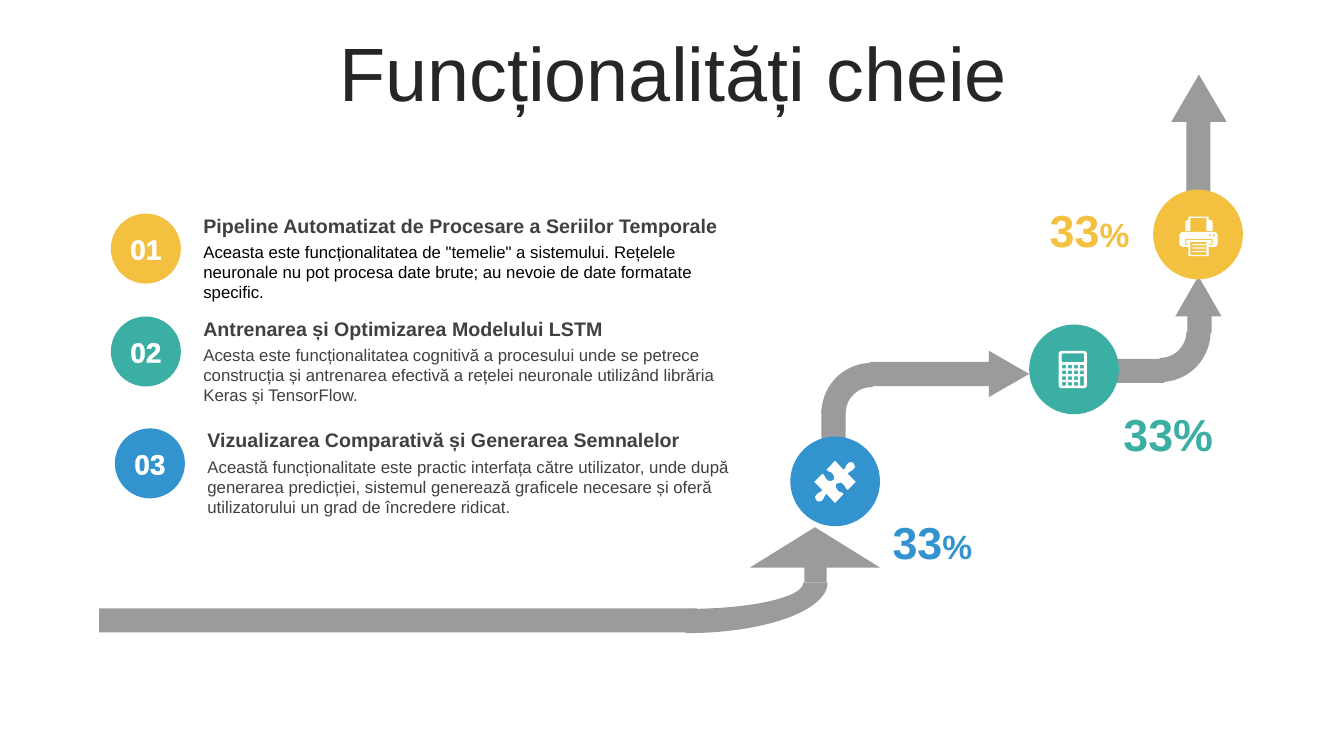
"""Build a slide of three key features beside a rising path of arrows."""
import math

import pptx
import pptx.util
from pptx.dml.color import RGBColor
from pptx.enum.shapes import MSO_SHAPE
from pptx.enum.text import MSO_ANCHOR, MSO_AUTO_SIZE, PP_ALIGN
from pptx.oxml import parse_xml
from pptx.oxml.ns import nsdecls

YELLOW = RGBColor(0xF3, 0xC0, 0x40)
TEAL = RGBColor(0x3C, 0xAF, 0xA4)
BLUE = RGBColor(0x32, 0x93, 0xCF)
GREY = RGBColor(0x9B, 0x9B, 0x9B)
WHITE = RGBColor(0xFF, 0xFF, 0xFF)
BLACK = RGBColor(0x00, 0x00, 0x00)
TITLE_GREY = RGBColor(0x26, 0x26, 0x26)
TEXT_GREY = RGBColor(0x40, 0x40, 0x40)

Pt = pptx.util.Pt

FEATURES = [
    (79.2, 152.6, YELLOW, BLACK, "Pipeline Automatizat de Procesare a Seriilor Temporale",
     'Aceasta este funcționalitatea de "temelie" a sistemului. Rețelele neuronale nu pot '
     "procesa date brute; au nevoie de date formatate specific."),
    (79.2, 226.1, TEAL, TEXT_GREY, "Antrenarea și Optimizarea Modelului LSTM",
     "Acesta este funcționalitatea cognitivă a procesului unde se petrece construcția și "
     "antrenarea efectivă a rețelei neuronale utilizând librăria Keras și TensorFlow."),
    (82.1, 306, BLUE, TEXT_GREY, "Vizualizarea Comparativă și Generarea Semnalelor",
     "Această funcționalitate este practic interfața către utilizator, unde după generarea "
     "predicției, sistemul generează graficele necesare și oferă utilizatorului un grad de "
     "încredere ridicat."),
]

BARS = [
    (586.8, 292.3, 17.3, 22.3),
    (621.4, 258.5, 93.6, 17.3),
    (70.9, 434.5, 427, 17.3),
    (574.6, 396, 15.8, 20.2),
    (847.4, 85.7, 17.3, 64.1),
    (792.7, 256.3, 38.9, 17.3),
    (848.2, 217.4, 17.3, 20.2),
]
BENDS = [
    (586.8, 259.2, 72, 72, 0),
    (390.2, 380.2, 200.9, 72, 180),
    (792.7, 200.9, 72, 72, 180),
]
ARROWHEADS = [
    (704.2, 252.7, 33.1, 28.8, 90),
    (535.7, 376.6, 92.9, 28.8, 0),
    (836.6, 53.3, 39.6, 33.8, 0),
    (839.5, 197.3, 33.1, 28.8, 0),
]
STOPS = [(564.5, 311.8, BLUE), (735.1, 231.8, TEAL), (823.7, 135.4, YELLOW)]
PERCENTAGES = [
    (628.6, 364.3, 74.9, BLUE, [("33", 32), ("%", 24)]),
    (791.3, 287.3, 86.4, TEAL, [("33%", 32)]),
    (740.9, 141.1, 74.9, YELLOW, [("33", 32), ("%", 24)]),
]

PUZZLE_HALF = [
    [(13.3, -13)],
    [(14, -12.2), (14.8, -10.1), (13.3, -9.4)],
    [(11.9, -7.2), (10.4, -7.9), (9, -5.8)],
    [(14.8, 0)],
    [(9, 5.8)],
    [(6.8, 4.3), (7.6, 2.9), (5.4, 1.4)],
    [(4.7, 0), (2.5, 0.7), (1.1, 1.4)],
    [(0.4, 2.2), (0.4, 4.3), (1.8, 5.8)],
    [(3.2, 7.9), (4, 6.5), (6.1, 8.6)],
    [(0, 15.1)],
    [(-6.1, 8.6)],
    [(-8.3, 10.8), (-7.6, 11.5), (-9, 13)],
    [(-10.4, 14.4), (-12.6, 14.4), (-13.3, 13)],
]
PRINTER_BODY = [
    (2, 10.8), (25.6, 10.8), (27.4, 12.6), (27.4, 20), (25.9, 21.6), (20.9, 21.6),
    (20.9, 28.1), (6.5, 28.1), (6.5, 21.6), (2, 21.6), (0, 20), (0, 12.6),
]
PRINTER_FEED = [
    (6.5, 0), (20.9, 0), (20.9, 2.2), (22.3, 2.2), (23.8, 3.6), (23.8, 10.1), (19.4, 10.1),
    (19.4, 0.9), (7.9, 0.9), (7.9, 10.1), (4.3, 10.1), (4.3, 3.6), (5.8, 2.2), (6.5, 2.2),
]
PRINTER_SLOT = [
    (4.3, 15.8), (23.8, 15.8), (23.8, 20.2), (20.9, 20.2), (20.9, 19.4), (23, 19.4),
    (23, 16.6), (5, 16.6), (5, 19.4), (6.5, 19.4), (6.5, 20.2), (4.3, 20.2),
]


def rounded_box(left, top, width, height, radius=0):
    """Return the outline of a box with rounded corners."""
    centres = [(left + width - radius, top + height - radius), (left + radius, top + height - radius),
               (left + radius, top + radius), (left + width - radius, top + radius)]
    outline = []
    for quarter, (x, y) in enumerate(centres):
        for step in range(4):
            angle = math.radians(90 * quarter + 30 * step)
            outline.append((x + radius * math.cos(angle), y + radius * math.sin(angle)))
    return outline


def puzzle_outline():
    """Return the puzzle piece, whose second half is the first turned half round."""
    half = []
    for segment in PUZZLE_HALF:
        if len(segment) == 1:
            half += segment
            continue
        controls = [half[-1]] + segment
        for step in range(1, 7):
            t = step / 6
            weights = [math.comb(3, i) * (1 - t) ** (3 - i) * t ** i for i in range(4)]
            half.append(tuple(sum(w * point[axis] for w, point in zip(weights, controls))
                              for axis in (0, 1)))
    return half + [(-x, -y) for x, y in half]


def calculator_outlines():
    """Return the calculator case, its screen and its keys."""
    outlines = [rounded_box(0, 0, 20.2, 26.7, 2.2), rounded_box(2.2, 1.8, 16, 6.3, 0.8)]
    for column in range(4):
        for row in range(4):
            if (column, row) != (3, 3):
                height = 6.7 if (column, row) == (3, 2) else 2.6
                outlines.append(rounded_box(2.4 + 4.3 * column, 10 + 4.1 * row, 2.8, height, 0.4))
    return outlines


def printer_outlines():
    """Return the printer with its feed, slot, lights and printed sheet."""
    lights = [rounded_box(x, 12.5, 1.4, 1.6, 0.7) for x in (21, 23.9)]
    lines = [rounded_box(9.4, 19.4 + 2.5 * row, 9.4, 1) for row in range(3)]
    return [PRINTER_BODY, PRINTER_FEED, PRINTER_SLOT, rounded_box(7.9, 18, 11.5, 9.2)] + lights + lines


class SlideBuilder:
    """Hold the font and the current slide, and add elements to it."""

    def __init__(self, slide, font="Arial"):
        self.slide = slide
        self.font = font

    def paint(self, shape, color):
        """Give a shape a plain fill without line or shadow."""
        shape.shadow.inherit = False
        shape.fill.solid()
        shape.fill.fore_color.rgb = color
        shape.line.fill.background()
        return shape

    def shape(self, kind, left, top, width, height, color, rotation=0):
        """Add a preset shape."""
        shape = self.slide.shapes.add_shape(kind, Pt(left), Pt(top), Pt(width), Pt(height))
        shape.rotation = rotation
        return self.paint(shape, color)

    def icon(self, left, top, outlines):
        """Add a white icon whose inner outlines are holes."""
        contours = [[(Pt(left + x), Pt(top + y)) for x, y in outline] for outline in outlines]
        builder = self.slide.shapes.build_freeform(*contours[0][0])
        for index, contour in enumerate(contours):
            if index:
                builder.move_to(*contour[0])
            builder.add_line_segments(contour[1:], close=True)
        self.paint(builder.convert_to_shape(), WHITE)

    def fill_text(self, frame, runs, color, bold=False, align=PP_ALIGN.LEFT, outlined=False):
        """Fill a text frame with one paragraph, run by run."""
        frame.word_wrap = True
        paragraph = frame.paragraphs[0]
        paragraph.alignment = align
        for text, size in runs:
            run = paragraph.add_run()
            run.text = text
            run.font.name = self.font
            run.font.size = Pt(size)
            run.font.bold = bold
            run.font.color.rgb = color
            if outlined:
                run.font._element.insert(0, parse_xml(
                    f'<a:ln {nsdecls("a")} w="12700"><a:solidFill><a:srgbClr val="{WHITE}"/>'
                    "</a:solidFill></a:ln>"))
        return paragraph

    def text(self, left, top, width, height, runs, color, **style):
        """Add a text box that grows with its text."""
        box = self.slide.shapes.add_textbox(Pt(left), Pt(top), Pt(width), Pt(height))
        box.text_frame.auto_size = MSO_AUTO_SIZE.SHAPE_TO_FIT_TEXT
        self.fill_text(box.text_frame, runs, color, **style)

    def title(self, text):
        """Add the centred slide title."""
        box = self.slide.shapes.add_textbox(Pt(25.2), Pt(26.6), Pt(911.5), Pt(56.9))
        box.text_frame.vertical_anchor = MSO_ANCHOR.MIDDLE
        paragraph = self.fill_text(box.text_frame, [(text, 54)], TITLE_GREY, align=PP_ALIGN.CENTER)
        paragraph.line_spacing = 0.9

    def feature(self, number, left, top, color, body_color, heading, body):
        """Add a numbered badge with its heading and description."""
        badge = self.shape(MSO_SHAPE.OVAL, left, top, 50, 50, color)
        frame = badge.text_frame
        frame.margin_left = frame.margin_right = frame.margin_top = frame.margin_bottom = 0
        frame.vertical_anchor = MSO_ANCHOR.MIDDLE
        self.fill_text(frame, [(f"{number:02}", 20)], WHITE, True, PP_ALIGN.CENTER, True)
        self.text(left + 59, top - 3.6, 396, 24.2, [(heading, 14)], TEXT_GREY, bold=True)
        self.text(left + 59, top + 16.6, 396, 50.9, [(body, 12)], body_color)


def main():
    """Build and save the slide."""
    presentation = pptx.Presentation()
    presentation.slide_width, presentation.slide_height = Pt(960), Pt(540)
    builder = SlideBuilder(presentation.slides.add_slide(presentation.slide_layouts[6]))
    builder.title("Funcționalități cheie")
    for bar in BARS:
        builder.shape(MSO_SHAPE.RECTANGLE, *bar, GREY)
    for *box, rotation in BENDS:
        bend = builder.shape(MSO_SHAPE.BLOCK_ARC, *box, GREY, rotation)
        for index, value in enumerate((108, 162.85, 0.24)):
            bend.adjustments[index] = value
    for *box, rotation in ARROWHEADS:
        builder.shape(MSO_SHAPE.ISOSCELES_TRIANGLE, *box, GREY, rotation)
    for left, top, color in STOPS:
        builder.shape(MSO_SHAPE.OVAL, left, top, 64.1, 64.1, color)
    for number, feature in enumerate(FEATURES, 1):
        builder.feature(number, *feature)
    for left, top, width, color, runs in PERCENTAGES:
        builder.text(left, top, width, 46.1, runs, color, bold=True, align=PP_ALIGN.CENTER, outlined=True)
    builder.icon(756.2, 250.6, calculator_outlines())
    builder.icon(842.4, 154.8, printer_outlines())
    builder.icon(596.5, 344.2, [puzzle_outline()])
    presentation.save("out.pptx")


if __name__ == "__main__":
    main()
